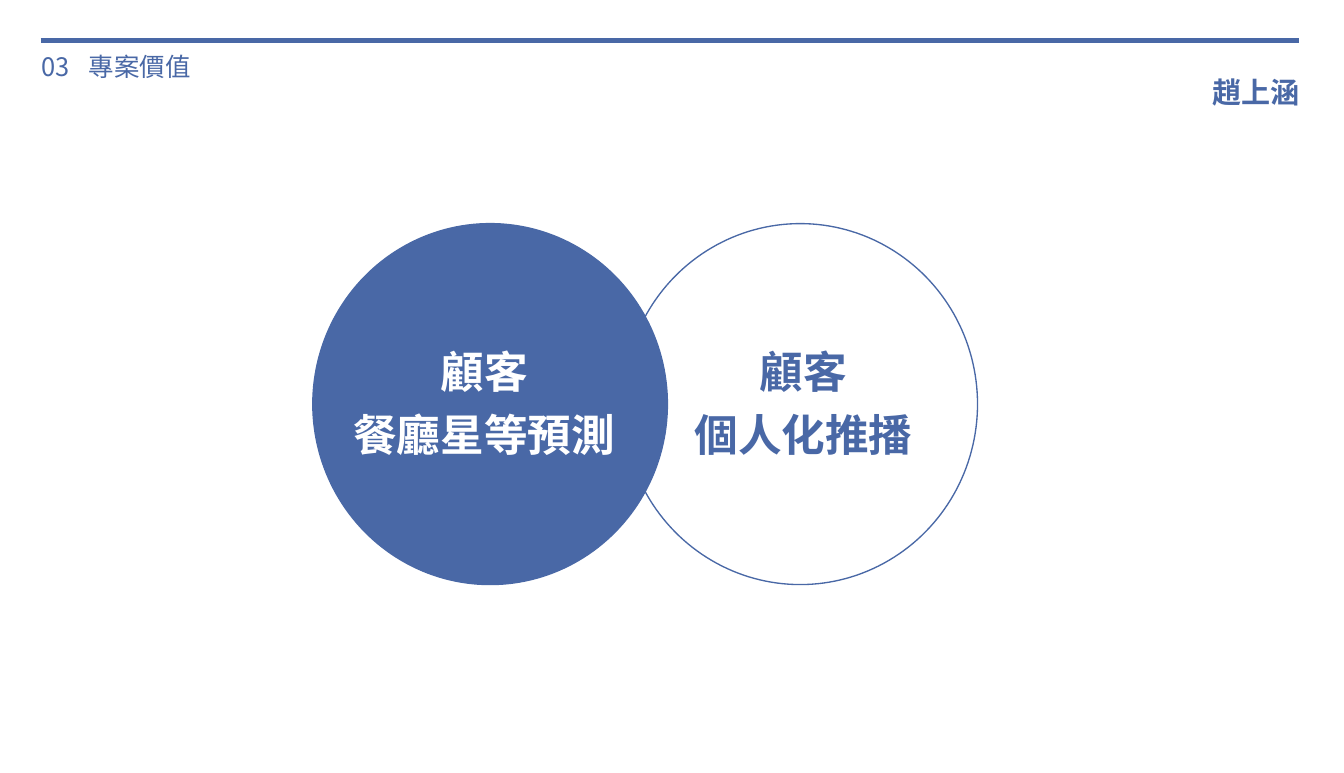
from dataclasses import dataclass

from lxml.etree import SubElement
from pptx import Presentation
from pptx.dml.color import RGBColor as Rgb
from pptx.enum.shapes import MSO_CONNECTOR as Conn, MSO_SHAPE as Kind
from pptx.enum.text import MSO_ANCHOR as Anchor, MSO_AUTO_SIZE as Fit, PP_ALIGN as Align
from pptx.oxml.ns import qn
from pptx.util import Pt

PX = 9144  # EMU per px, 100 px to the inch


@dataclass(frozen=True)
class Theme:
    font: str = "Noto Sans CJK SC"
    blue: Rgb = Rgb(0x49, 0x68, 0xA6)
    white: Rgb = Rgb(0xFF, 0xFF, 0xFF)
    head: int = 14
    name: int = 16
    label: int = 24
    rule: float = 3
    ring: float = 0.75


THEME = Theme()


def scale(*sizes):
    return [size * PX for size in sizes]


def add_run(para, text, size, color, bold=False):
    run = para.add_run()
    run.text = text
    font = run.font
    font.size, font.bold = Pt(size), bold
    font.color.rgb = color
    font.name = THEME.font
    SubElement(run._r.get_or_add_rPr(), qn("a:ea"), typeface=THEME.font)


def set_frame(shape, align):
    """Prepare a text frame and return its first paragraph."""
    frame = shape.text_frame
    frame.word_wrap = True
    frame.auto_size = Fit.NONE
    frame.vertical_anchor = Anchor.TOP
    para = frame.paragraphs[0]
    para.alignment = align
    return para


def set_title(slide, number, text, box, inset, stop):
    """Place the title, with its text at a tab stop after the number."""
    title = slide.shapes.title
    title.left, title.top, title.width, title.height = scale(*box)
    para = set_frame(title, Align.LEFT)
    title.text_frame.margin_left = inset * PX
    title.text_frame.margin_right = 0
    tabs = SubElement(para._p.get_or_add_pPr(), qn("a:tabLst"))
    SubElement(tabs, qn("a:tab"), pos=str(stop * PX), algn="l")
    add_run(para, f"{number}\t{text}", THEME.head, THEME.blue)


def add_rule(slide, left, right, top):
    ends = scale(left, top, right, top)
    rule = slide.shapes.add_connector(Conn.STRAIGHT, *ends)
    rule.line.color.rgb = THEME.blue
    rule.line.width = Pt(THEME.rule)
    SubElement(rule._element.spPr, qn("a:effectLst"))


def add_ring(slide, box, fill=None):
    ring = slide.shapes.add_shape(Kind.OVAL, *scale(*box))
    ring.shadow.inherit = False
    ring.line.color.rgb = THEME.blue
    ring.line.width = Pt(THEME.ring)
    if fill is None:
        ring.fill.background()
    else:
        ring.fill.solid()
        ring.fill.fore_color.rgb = fill


def add_text(slide, lines, box, size, color, space=1.0):
    para = set_frame(slide.shapes.add_textbox(*scale(*box)), Align.CENTER)
    para.line_spacing = space
    for i, line in enumerate(lines):
        if i:
            para.add_line_break()
        add_run(para, line, size, color, bold=True)


def main():
    deck = Presentation()
    deck.slide_width, deck.slide_height = scale(1027, 591)
    slide = deck.slides.add_slide(deck.slide_layouts[5])

    add_rule(slide, 31, 993, 31)
    set_title(slide, "03", "專案價值", (-4, 34, 186, 34), inset=36, stop=36)
    add_text(slide, ["趙上涵"], (905, 52, 110, 37), THEME.name, THEME.blue)

    values = [
        (239, THEME.blue, "餐廳星等預測", 239, 262, THEME.white),
        (476, None, "個人化推播", 498, 232, THEME.blue),
    ]
    for left, fill, *_ in values:
        add_ring(slide, (left, 171, 271, 276), fill)
    for _, _, value, left, width, color in values:
        box = (left, 251, width, 106)
        add_text(slide, ["顧客", value], box, THEME.label, color, 1.2)

    deck.save("out.pptx")


if __name__ == "__main__":
    main()
